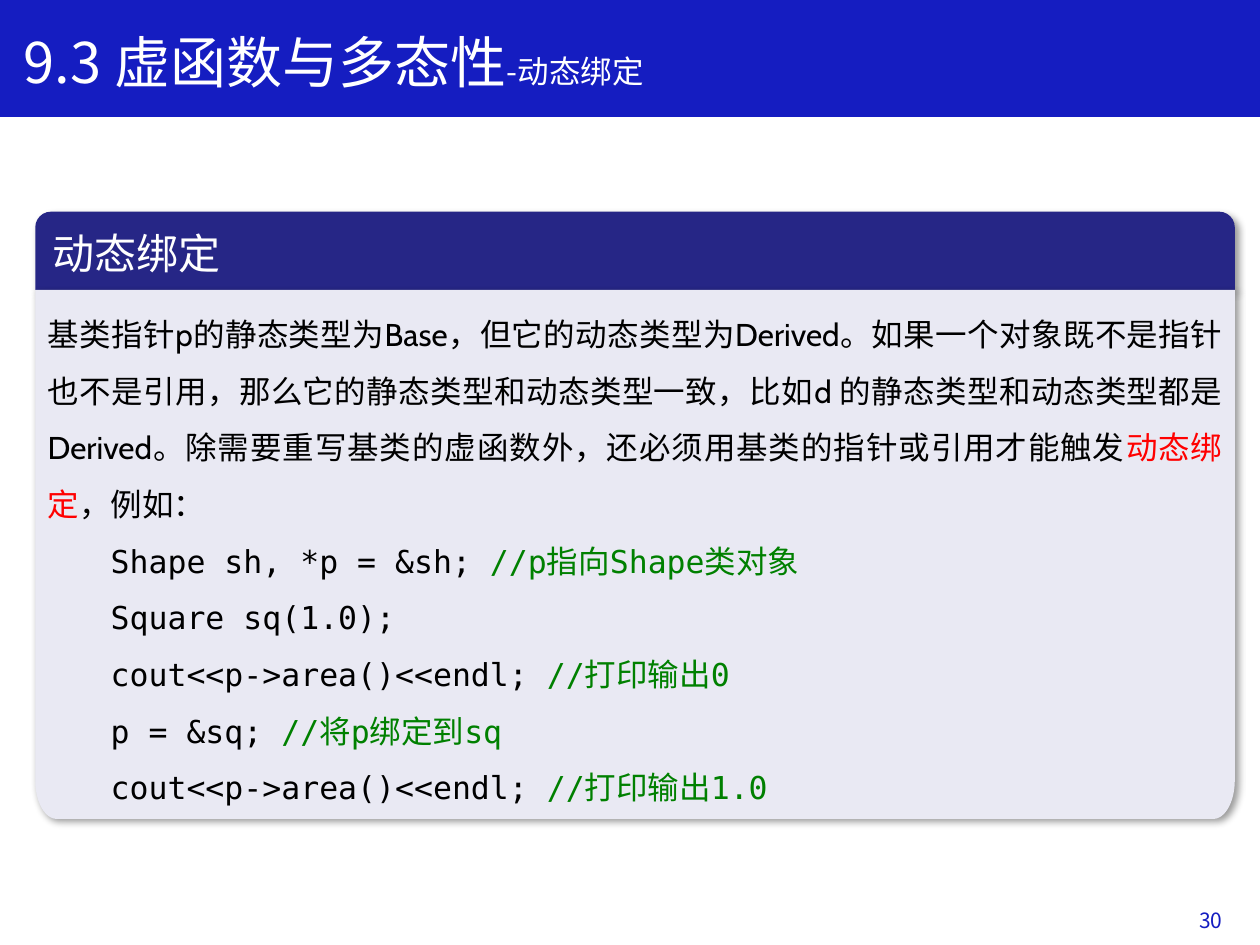
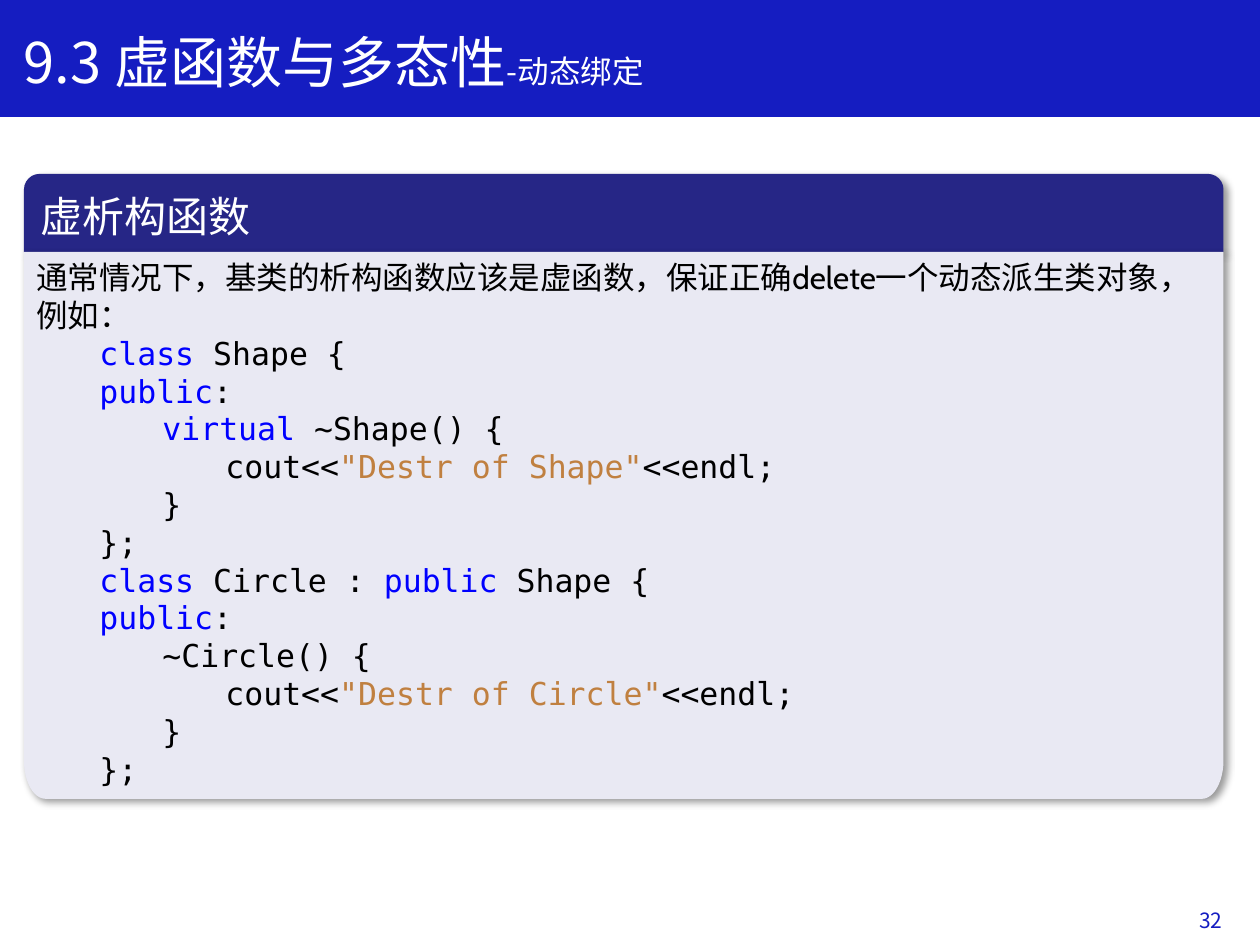
import math

import pptx
import pptx.util
import pptx.dml.color
import pptx.enum.shapes
import pptx.enum.text
import pptx.oxml.ns
from lxml import etree

WIDTH, HEIGHT = pptx.util.Inches(10), pptx.util.Inches(7.5)
COLS = 100  # square cells: 100 columns by 75 rows
CELL = WIDTH / COLS

INK = {
    "band": "151DC1", "head": "262686", "panel": "E9E9F3",
    "white": "FFFFFF", "black": "000000", "red": "FF0000",
    "note": "008000", "key": "0000FF", "quote": "C08040",
}
HAN, LATIN, CODE = "Noto Sans CJK SC", "Cabin", "DejaVu Sans Mono"
ALIGN = pptx.enum.text.PP_ALIGN
ANCHOR = pptx.enum.text.MSO_ANCHOR
SHAPE = pptx.enum.shapes.MSO_SHAPE
qn = pptx.oxml.ns.qn

# Each code line is (indent level, runs); a run is (text, ink, optional size).
BIND_TEXT = [
    ("基类指针p的静态类型为Base，但它的动态类型为Derived。如果一个对象既不是"
     "指针也不是引用，那么它的静态类型和动态类型一致，比如d 的静态类型和动态类型"
     "都是Derived。除需要重写基类的虚函数外，还必须用基类的指针或引用才能触发", "black"),
    ("动态绑定", "red"),
    ("，例如：", "black"),
]
BIND_CODE = [
    (1, [("Shape sh, *p = &sh; ", "black"), ("//p指向Shape类对象", "note")]),
    (1, [("Square sq(1.0);", "black")]),
    (1, [("cout<<p->area()<<endl; ", "black"), ("//打印输出0", "note")]),
    (1, [("p = &sq; ", "black"), ("//将p绑定到sq", "note")]),
    (1, [("cout<<p->area()<<endl; ", "black"), ("//打印输出1.0", "note")]),
]
DESTR_TEXT = [("通常情况下，基类的析构函数应该是虚函数，保证正确delete"
               "一个动态派生类对象，例如：", "black")]


def destr(name, base, lead):
    """Code lines of a class whose destructor prints its name."""
    return [
        (1, [("class ", "key"), (name, "black"), *base, (" {", "black")]),
        (1, [("public", "key"), (":", "black")]),
        (2, [*lead, (f"~{name}() {{", "black")]),
        (3, [("cout<<", "black"), (f'"Destr of {name}"', "quote"),
             ("<<endl;", "black")]),
        (2, [("}", "black")]),
        (1, [("};", "black")]),
    ]


DESTR_CODE = (
    destr("Shape", [], [("virtual ", "key")])
    + destr("Circle", [(" : ", "black"), ("public ", "key"), ("Shape", "black")], [])
)


def grid(*cells):
    return [round(cell * CELL) for cell in cells]


def tint(name):
    return pptx.dml.color.RGBColor.from_string(INK[name])


def write(para, runs, size=18, font=HAN, align=ALIGN.LEFT, level=0, space=None):
    """Fill a paragraph; Chinese letters always take the HAN font."""
    para.alignment = align
    para.line_spacing = space
    if level:
        para.level = level
        props = para._p.get_or_add_pPr()
        props.set("marL", str(pptx.util.Inches(level / 2)))
        props.set("indent", "0")
    for text, ink, *own in runs:
        run = para.add_run()
        run.text = text
        run.font.size = pptx.util.Pt(own[0] if own else size)
        run.font.name = font
        run.font.color.rgb = tint(ink)
        east = etree.SubElement(run.font._element, qn("a:ea"))
        east.set("typeface", HAN)


def frame(shape, anchor):
    text = shape.text_frame
    text.word_wrap = True
    text.vertical_anchor = anchor
    return text


def label(slide, place, runs, anchor=ANCHOR.TOP, **form):
    box = slide.shapes.add_textbox(*grid(*place))
    write(frame(box, anchor).paragraphs[0], runs, **form)


def paint(shape, ink, line=None):
    shape.shadow.inherit = False
    shape.fill.solid()
    shape.fill.fore_color.rgb = tint(ink)
    if line:
        shape.line.color.rgb = tint(line)
        shape.line.width = pptx.util.Pt(1)
    else:
        shape.line.fill.background()


def shade(shape):
    """Cast a soft shadow down to the right."""
    effects = shape._element.spPr.find(qn("a:effectLst"))
    cast = etree.SubElement(
        effects, qn("a:outerShdw"), blurRad=str(pptx.util.Pt(4)),
        dist=str(pptx.util.Pt(3)), dir=str(45 * 60000), algn="tl", rotWithShape="0")
    color = etree.SubElement(cast, qn("a:srgbClr"), val=INK["black"])
    etree.SubElement(color, qn("a:alpha"), val="40000")


def sheet(shapes, left, top, width, height):
    """Outline with square top corners and rounded bottom corners."""
    rx, ry, steps = 1.7, 3.05, 12
    right, low = left + width, top + height
    turn = [math.pi / 2 * step / steps for step in range(steps + 1)]
    east = [(right - rx + rx * math.cos(a), low - ry + ry * math.sin(a)) for a in turn]
    west = [(left + right - x, y) for x, y in reversed(east)]
    pen = shapes.build_freeform(*grid(left, top))
    pen.add_line_segments([grid(*dot) for dot in [(right, top), *east, *west]])
    return pen.convert_to_shape()


def block(slide, left, top, height, title, intro, code, align=ALIGN.LEFT, space=None):
    """Titled panel: a dark head over a light body of prose and code."""
    width, rise = 95.2, 6.2
    group = slide.shapes.add_group_shape().shapes
    head = group.add_shape(SHAPE.ROUND_2_SAME_RECTANGLE, *grid(left, top, width, rise))
    head.adjustments[0], head.adjustments[1] = 0.2, 0
    body = sheet(group, left, top + rise, width, height)
    for part, ink in ((head, "head"), (body, "panel")):
        paint(part, ink)
        shade(part)
    write(frame(head, ANCHOR.MIDDLE).paragraphs[0], [(title, "white")], size=24)
    text = frame(body, ANCHOR.TOP)
    write(text.paragraphs[0], intro, font=LATIN, align=align, space=space)
    for level, runs in code:
        write(text.add_paragraph(), runs, font=CODE, level=level, space=space)


def page(deck, number):
    """Add a slide with the shared band, title and page number."""
    slide = deck.slides.add_slide(deck.slide_layouts[6])
    band = slide.shapes.add_shape(SHAPE.RECTANGLE, *grid(0, 0, COLS, 9.2))
    paint(band, "band", line="band")
    label(slide, (75.5, 71, 22.5, 4), [(str(number), "band")],
          anchor=ANCHOR.MIDDLE, size=12, align=ALIGN.RIGHT)
    label(slide, (0.9, 1.7, 95.2, 6.4),
          [("9.3 虚函数与多态性", "white", 32), ("-动态绑定", "white")])
    return slide


def main():
    deck = pptx.Presentation()
    deck.slide_width, deck.slide_height = WIDTH, HEIGHT
    block(page(deck, 30), 2.8, 16.8, 42, "动态绑定", BIND_TEXT, BIND_CODE,
          align=ALIGN.JUSTIFY, space=1.5)
    block(page(deck, 32), 1.9, 13.8, 43.4, "虚析构函数", DESTR_TEXT, DESTR_CODE)
    deck.save("out.pptx")


if __name__ == "__main__":
    main()
